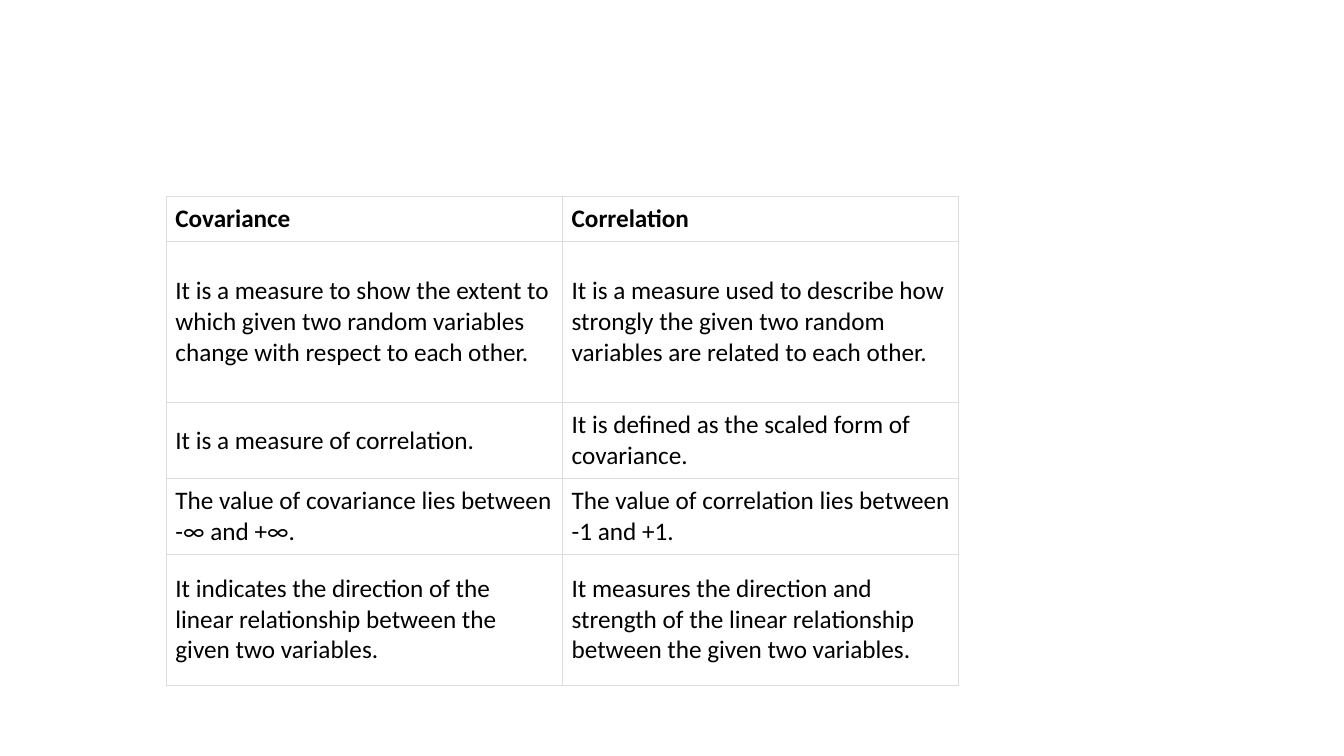
from pptx import Presentation
from pptx.dml.color import RGBColor
from pptx.enum.text import MSO_ANCHOR
from pptx.oxml import parse_xml
from pptx.oxml.ns import nsdecls
from pptx.util import Inches, Pt

ROWS = [
    (0.42, "Covariance", "Correlation"),
    (1.6,
     "It is a measure to show the extent to which given two random variables "
     "change with respect to each other.",
     "It is a measure used to describe how strongly the given two random "
     "variables are related to each other."),
    (0.72,
     "It is a measure of correlation.",
     "It is defined as the scaled form of covariance."),
    (0.72,
     "The value of covariance lies between -∞ and +∞.",
     "The value of correlation lies between -1 and +1."),
    (1.3,
     "It indicates the direction of the linear relationship between the given "
     "two variables.",
     "It measures the direction and strength of the linear relationship "
     "between the given two variables."),
]


def color(code):
    """Turn a hex string into a colour."""
    return RGBColor.from_string(code)


def add_edges(cell, code, width):
    """Draw a thin line on all four sides of a cell."""
    props = cell._tc.get_or_add_tcPr()
    for spot, side in enumerate(("lnL", "lnR", "lnT", "lnB")):
        props.insert(spot, parse_xml(
            f'<a:{side} {nsdecls("a")} w="{Pt(width)}"><a:solidFill>'
            f'<a:srgbClr val="{code}"/></a:solidFill></a:{side}>'))


def fill_cell(cell, text, bold):
    """Write and style one cell."""
    cell.text_frame.text = text
    font = cell.text_frame.paragraphs[0].runs[0].font
    font.name, font.size, font.bold = "Calibri", Pt(18), bold
    font.color.rgb = color("000000")
    cell.vertical_anchor = MSO_ANCHOR.MIDDLE
    cell.margin_left = cell.margin_right = Inches(0.09)
    cell.margin_top = cell.margin_bottom = Inches(0.07)
    cell.fill.solid()
    cell.fill.fore_color.rgb = color("FFFFFF")
    add_edges(cell, "DDDDDD", 0.6)


def add_grid(slide, left, top, width, rows):
    """Add the comparison table with a bold first row."""
    total = sum(row[0] for row in rows)
    table = slide.shapes.add_table(
        len(rows), 2, Inches(left), Inches(top),
        Inches(width), Inches(total)).table
    for r, (height, *texts) in enumerate(rows):
        table.rows[r].height = Inches(height)
        for c, text in enumerate(texts):
            fill_cell(table.cell(r, c), text, r == 0)


def main():
    """Build and save the slide."""
    deck = Presentation()
    deck.slide_width, deck.slide_height = Inches(13.33), Inches(7.5)
    slide = deck.slides.add_slide(deck.slide_layouts[6])
    add_grid(slide, 1.65, 1.95, 7.86, ROWS)
    deck.save("out.pptx")


if __name__ == "__main__":
    main()
